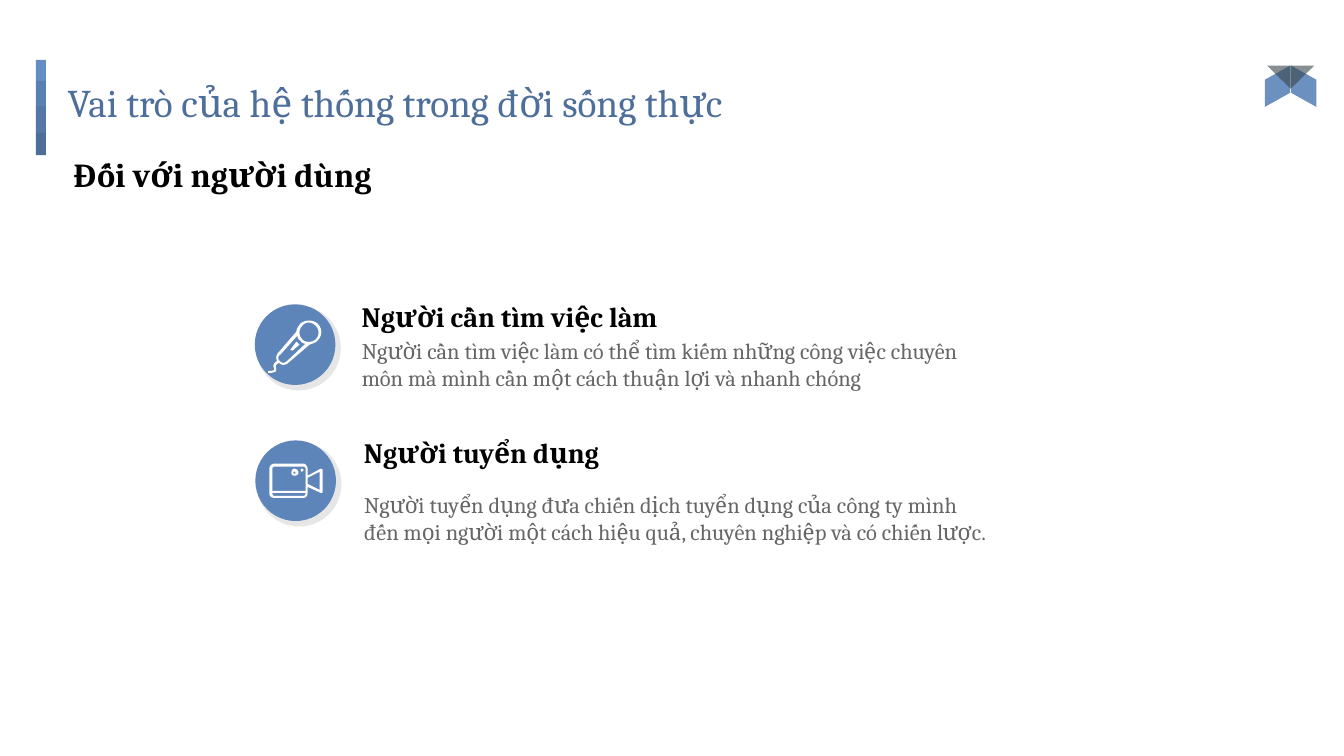
from dataclasses import dataclass
from pptx import Presentation
from pptx.dml.color import RGBColor
from pptx.enum.shapes import MSO_SHAPE
from pptx.enum.text import MSO_ANCHOR, MSO_AUTO_SIZE, PP_ALIGN
from pptx.oxml.ns import qn
from pptx.util import Pt
from lxml.etree import SubElement


@dataclass(frozen=True)
class Theme:
    font: str = "Cambria"
    blue: str = "5E85B9"
    bars: tuple = ("648DC6", "5A7FB3", "5477A7", "4E6E9A")
    title: str = "4E6F9B"
    heading: str = "000000"
    body: str = "666666"
    shade: str = "595959"
    fold: str = "38444A"
    icon: str = "FFFFFF"
    title_size: int = 28
    subtitle_size: int = 24
    heading_size: int = 20
    body_size: int = 16


T = Theme()
INSET = 9.4
UNIT = 0.72  # points per icon grid unit

# Icon outlines: M start, L line, C cubic curve
MICROPHONE = (
    "M 22 30 L 24 31 L 31 25 L 28 22",
    "M 49 4 C 44 0 37 0 32 4 C 30 7 28 9 28 12 L 10 33 C 9 34 8 36 8 38 "
    "C 8 39 8 40 9 41 C 6 43 4 45 6 49 C 6 49 6 50 6 50 C 5 51 2 51 1 51 "
    "C 0 51 0 51 0 52 C 0 53 0 53 1 53 C 2 53 6 53 8 51 C 8 51 8 50 8 48 "
    "C 7 46 7 45 11 43 C 12 44 13 45 15 45 C 17 45 19 44 20 43 L 41 25 "
    "C 44 24 47 23 49 21 C 54 16 54 9 49 4",
    "M 19 41 C 18 42 16 43 15 43 C 13 43 10 41 10 38 C 10 37 11 35 12 35 "
    "L 29 16 C 29 18 30 20 32 21 C 33 23 35 24 37 24",
    "M 47 20 C 43 23 37 23 34 20 C 30 16 30 10 34 6 C 37 2 43 2 47 6 "
    "C 51 10 51 16 47 20",
)
CAMERA = (
    "M 25 5 C 23 5 22 7 22 9 C 22 11 23 12 25 12 C 27 12 29 11 29 9 "
    "C 29 7 27 5 25 5",
    "M 25 10 C 24 10 24 10 24 9 C 24 8 24 8 25 8 C 26 8 26 8 26 9 "
    "C 26 10 26 10 25 10",
    "M 51 5 L 38 12 L 38 5 C 38 3 36 0 34 0 L 5 0 C 2 0 0 3 0 5 L 0 29 "
    "C 0 32 2 34 5 34 L 34 34 C 36 34 38 32 38 29 L 38 23 L 51 29 "
    "C 52 29 53 29 53 28 L 53 6 C 53 6 52 5 51 5",
    "M 34 32 L 5 32 C 4 32 3 31 3 29 L 36 29 C 36 31 35 32 34 32",
    "M 36 27 L 3 27 L 3 5 C 3 4 4 3 5 3 L 34 3 C 35 3 36 4 36 5",
    "M 50 26 L 38 20 L 38 14 L 50 8",
    "M 32 5 C 32 5 31 6 31 6 C 31 7 32 8 32 8 C 33 8 34 7 34 6 "
    "C 34 6 33 5 32 5",
)


def paint(sp, color, opacity=100):
    sp.shadow.inherit = False
    sp.line.fill.background()
    sp.fill.solid()
    sp.fill.fore_color.rgb = RGBColor.from_string(color)
    if opacity < 100:
        clr = sp.fill._xPr.find(".//" + qn("a:srgbClr"))
        SubElement(clr, qn("a:alpha"), val=str(opacity * 1000))


def add_block(shapes, kind, box, color, opacity=100):
    sp = shapes.add_shape(kind, *map(Pt, box))
    paint(sp, color, opacity)
    return sp


def write(sp, text, size, color, bold=False, anchor=MSO_ANCHOR.MIDDLE):
    tf = sp.text_frame
    frame = dict(word_wrap=True, auto_size=MSO_AUTO_SIZE.NONE, vertical_anchor=anchor)
    frame.update({f"margin_{side}": Pt(INSET) for side in ("left", "top", "right", "bottom")})
    for name, value in frame.items():
        setattr(tf, name, value)
    p = tf.paragraphs[0]
    p.alignment = PP_ALIGN.LEFT
    r = p.add_run()
    r.text = text
    for name, value in dict(name=T.font, size=Pt(size), bold=bold).items():
        setattr(r.font, name, value)
    r.font.color.rgb = RGBColor.from_string(color)


def add_text(s, box, text, size, color, bold=False):
    write(s.shapes.add_textbox(*map(Pt, box)), text, size, color, bold)


def trace(outline, steps=6):
    """Turn one outline into a list of points, sampling its curves."""
    points, numbers = [], []
    for token in outline.split():
        if token in "MLC":
            need = 6 if token == "C" else 2
            continue
        numbers.append(float(token))
        if len(numbers) < need:
            continue
        ends = list(zip(numbers[::2], numbers[1::2]))
        numbers = []
        if need == 2:
            points += ends
            continue
        curve = [points[-1]] + ends
        for t in (i / steps for i in range(1, steps + 1)):
            weights = ((1 - t) ** 3, 3 * t * (1 - t) ** 2, 3 * t * t * (1 - t), t ** 3)
            points.append(tuple(sum(w * c[axis] for w, c in zip(weights, curve))
                                for axis in (0, 1)))
    return [(Pt(x * UNIT), Pt(y * UNIT)) for x, y in points]


def add_icon(s, x, y, outlines):
    contours = [trace(outline) for outline in outlines]
    fb = s.shapes.build_freeform(*contours[0][0])
    for i, points in enumerate(contours):
        if i:
            fb.move_to(*points[0])
        fb.add_line_segments(points[1:], close=True)
    paint(fb.convert_to_shape(Pt(x), Pt(y)), T.icon)


def add_accent(s, x, y, w):
    group = s.shapes.add_group_shape()
    for h, color in zip((15.1, 18, 19, 16), T.bars):
        add_block(group.shapes, MSO_SHAPE.RECTANGLE, (x, y, w, h), color)
        y += h


def add_header(s, x, y, w, h):
    title = s.shapes.title
    for name, value in dict(left=x, top=y, width=w, height=h).items():
        setattr(title, name, Pt(value))
    write(title, "Vai trò của hệ thống trong đời sống thực",
          T.title_size, T.title, anchor=MSO_ANCHOR.TOP)
    add_text(s, (x + 4.3, y + 59.8, 268, 36), "Đối với người dùng",
             T.subtitle_size, T.heading, True)


def add_ribbon(s, x, y):
    group = s.shapes.add_group_shape()
    for dx, flipped in ((18.7, False), (0, True)):
        sp = add_block(group.shapes, MSO_SHAPE.PARALLELOGRAM,
                       (x + dx, y + 5.8, 29.5, 18), T.blue, 91)
        sp.adjustments[0] = 0.56
        sp.rotation = 90
        if flipped:
            sp._element.spPr.find(qn("a:xfrm")).set("flipH", "1")
    fold = add_block(group.shapes, MSO_SHAPE.ISOSCELES_TRIANGLE,
                     (x + 7.2, y, 33.8, 16.6), T.fold, 60)
    fold.rotation = 180


def add_role(s, x, y, text_dx, body_dy, icon, icon_dx, icon_dy, heading, body):
    add_block(s.shapes, MSO_SHAPE.OVAL, (x + 1, y + 1, 60.5, 60.5), T.shade, 15)
    add_block(s.shapes, MSO_SHAPE.OVAL, (x, y, 57.6, 57.6), T.blue)
    add_icon(s, x + icon_dx, y + icon_dy, icon)
    add_text(s, (x + text_dx, y + body_dy, 466, 57.6), body, T.body_size, T.body)
    add_text(s, (x + text_dx, y - 9.4, 399, 36), heading, T.heading_size, T.heading, True)


def main():
    prs = Presentation()
    prs.slide_width, prs.slide_height = Pt(960), Pt(540)
    s = prs.slides.add_slide(prs.slide_layouts[5])

    # Header
    add_accent(s, 25.6, 42.8, 7.2)
    add_header(s, 38.9, 46.8, 888.5, 60.5)

    # Roles
    add_role(s, 182, 217.4, 67, 13.7, MICROPHONE, 9.6, 10.8,
             "Người cần tìm việc làm",
             "Người cần tìm việc làm có thể tìm kiếm những công việc chuyên "
             "môn mà mình cần một cách thuận lợi và nhanh chóng")
    add_role(s, 182.4, 314.6, 68.2, 26.7, CAMERA, 10, 16.6,
             "Người tuyển dụng",
             "Người tuyển dụng đưa chiến dịch tuyển dụng của công ty mình "
             "đến mọi người một cách hiệu quả, chuyên nghiệp và có chiến lược.")

    # Corner ribbon
    add_ribbon(s, 897.8, 46.8)
    prs.save("out.pptx")


if __name__ == "__main__":
    main()
